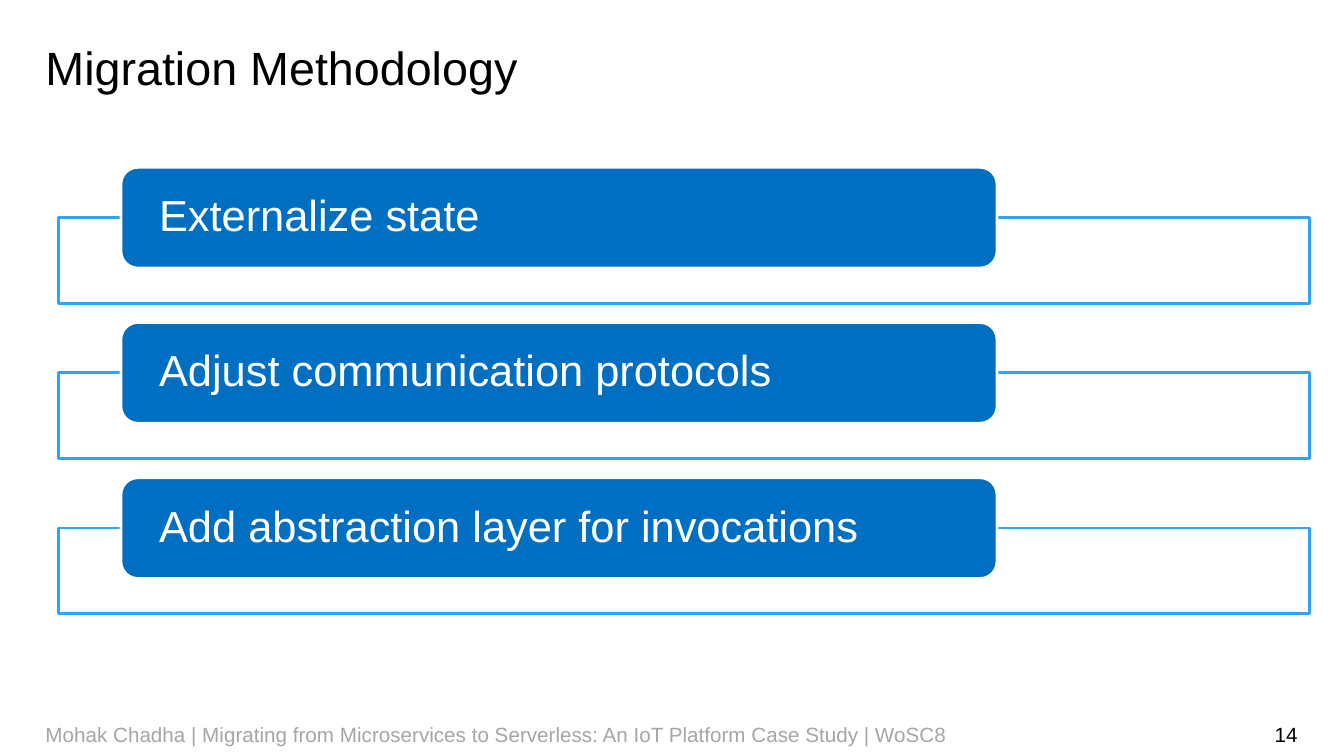
import dataclasses
import typing

import pptx
import pptx.dml.color
import pptx.enum.shapes
import pptx.enum.text
import pptx.oxml
import pptx.oxml.ns
import pptx.util

Align = pptx.enum.text.PP_ALIGN
Anchor = pptx.enum.text.MSO_ANCHOR
Kind = pptx.enum.shapes.MSO_SHAPE
Inch = pptx.util.Inches
Pt = pptx.util.Pt

WIDE, HIGH = Inch(13.33), Inch(7.5)


@dataclasses.dataclass(frozen=True)
class Theme:
    font: str = "Arial"
    white: str = "FFFFFF"
    black: str = "000000"
    gray: str = "A6A6A6"
    blue: str = "006FC2"
    edge: str = "2DA5FF"
    title: float = 33.3
    step: float = 31
    foot: float = 14.7
    line: float = 2


class Box(typing.NamedTuple):
    """Left, top, width and height as percent of the slide's size."""
    left: float
    top: float
    width: float
    height: float

    def place(self) -> tuple[int, int, int, int]:
        return (int(WIDE * self.left / 100), int(HIGH * self.top / 100),
                int(WIDE * self.width / 100), int(HIGH * self.height / 100))

    def down(self, share: float) -> "Box":
        return self._replace(top=self.top + share)


class Note(typing.NamedTuple):
    text: str
    box: Box
    color: str
    align: Align


THEME = Theme()
TITLE = Box(3.38, 4.67, 93.1, 7.47)
FRAME = Box(4.35, 28.8, 93.1, 11.33)
LABEL = Box(9, 22.13, 65.19, 13.33)
PITCH = 20.53
STEPS = ("Externalize state", "Adjust communication protocols",
         "Add abstraction layer for invocations")
NOTES = (
    Note("14", Box(74.12, 94.4, 22.43, 5.33), THEME.black, Align.RIGHT),
    Note("Mohak Chadha | Migrating from Microservices to Serverless: "
         "An IoT Platform Case Study | WoSC8",
         Box(3.38, 94.4, 70.74, 5.33), THEME.gray, Align.LEFT),
)


def rgb(code: str) -> pptx.dml.color.RGBColor:
    return pptx.dml.color.RGBColor.from_string(code)


def write(shape, text: str, size: float, color: str, align: Align,
          anchor: Anchor, side: float = 0, edge: float = 0):
    """Set one paragraph; side and edge are the insets in inches."""
    frame = shape.text_frame
    frame.text = text
    frame.word_wrap = True
    frame.vertical_anchor = anchor
    frame.margin_left = frame.margin_right = Inch(side)
    frame.margin_top = frame.margin_bottom = Inch(edge)
    para = frame.paragraphs[0]
    para.alignment = align
    para.font.name = THEME.font
    para.font.size = Pt(size)
    para.font.color.rgb = rgb(color)
    return para


def panel(slide, kind: Kind, box: Box, fill: str, line: str):
    shape = slide.shapes.add_shape(kind, *box.place())
    shape.shadow.inherit = False
    shape.fill.solid()
    shape.fill.fore_color.rgb = rgb(fill)
    shape.line.color.rgb = rgb(line)
    shape.line.width = Pt(THEME.line)
    return shape


def fade(shape, share: int) -> None:
    """Set the opacity of a solid fill, in percent."""
    tint = shape.fill._xPr.find(pptx.oxml.ns.qn("a:solidFill"))[0]
    alpha = pptx.oxml.parse_xml(
        f'<a:alpha {pptx.oxml.ns.nsdecls("a")} val="{share * 1000}"/>')
    tint.append(alpha)


def head(slide, text: str) -> None:
    title = slide.shapes.title
    title.left, title.top, title.width, title.height = TITLE.place()
    para = write(title, text, THEME.title, THEME.black, Align.LEFT, Anchor.TOP)
    para.line_spacing = Pt(42.7)
    title.text_frame.auto_size = pptx.enum.text.MSO_AUTO_SIZE.SHAPE_TO_FIT_TEXT


def step(slide, text: str, drop: float) -> None:
    frame = panel(slide, Kind.RECTANGLE, FRAME.down(drop),
                  THEME.white, THEME.edge)
    fade(frame, 90)
    label = panel(slide, Kind.ROUNDED_RECTANGLE, LABEL.down(drop),
                  THEME.blue, THEME.white)
    para = write(label, text, THEME.step, THEME.white, Align.LEFT,
                 Anchor.MIDDLE, side=0.33)
    para.line_spacing = 0.9


def foot(slide, note: Note) -> None:
    shape = slide.shapes.add_textbox(*note.box.place())
    write(shape, note.text, THEME.foot, note.color, note.align,
          Anchor.MIDDLE, edge=0.05)


def main() -> None:
    deck = pptx.Presentation()
    deck.slide_width, deck.slide_height = WIDE, HIGH
    slide = deck.slides.add_slide(deck.slide_layouts.get_by_name("Title Only"))
    head(slide, "Migration Methodology")
    for row, text in enumerate(STEPS):
        step(slide, text, row * PITCH)
    for note in NOTES:
        foot(slide, note)
    deck.save("out.pptx")


if __name__ == "__main__":
    main()
